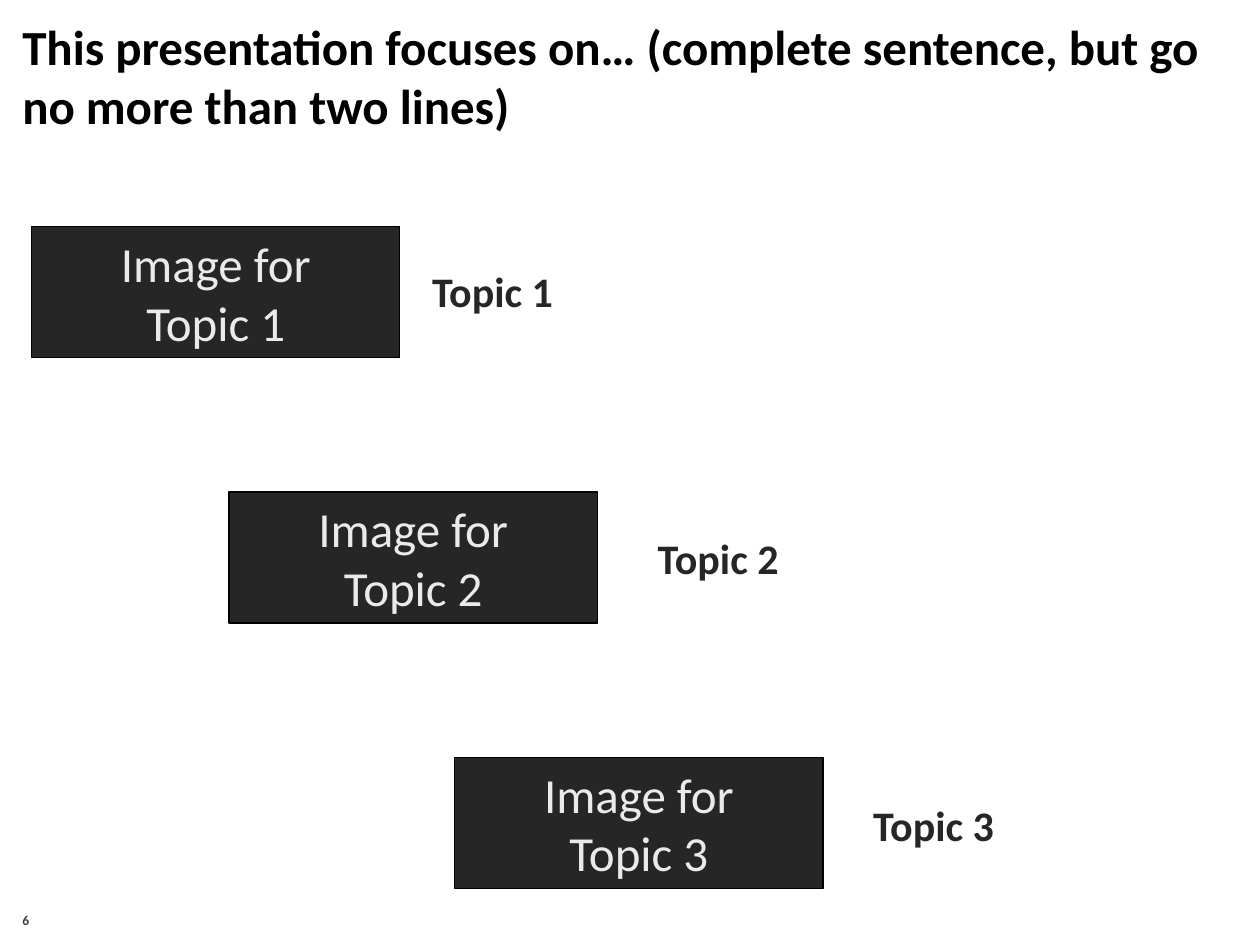
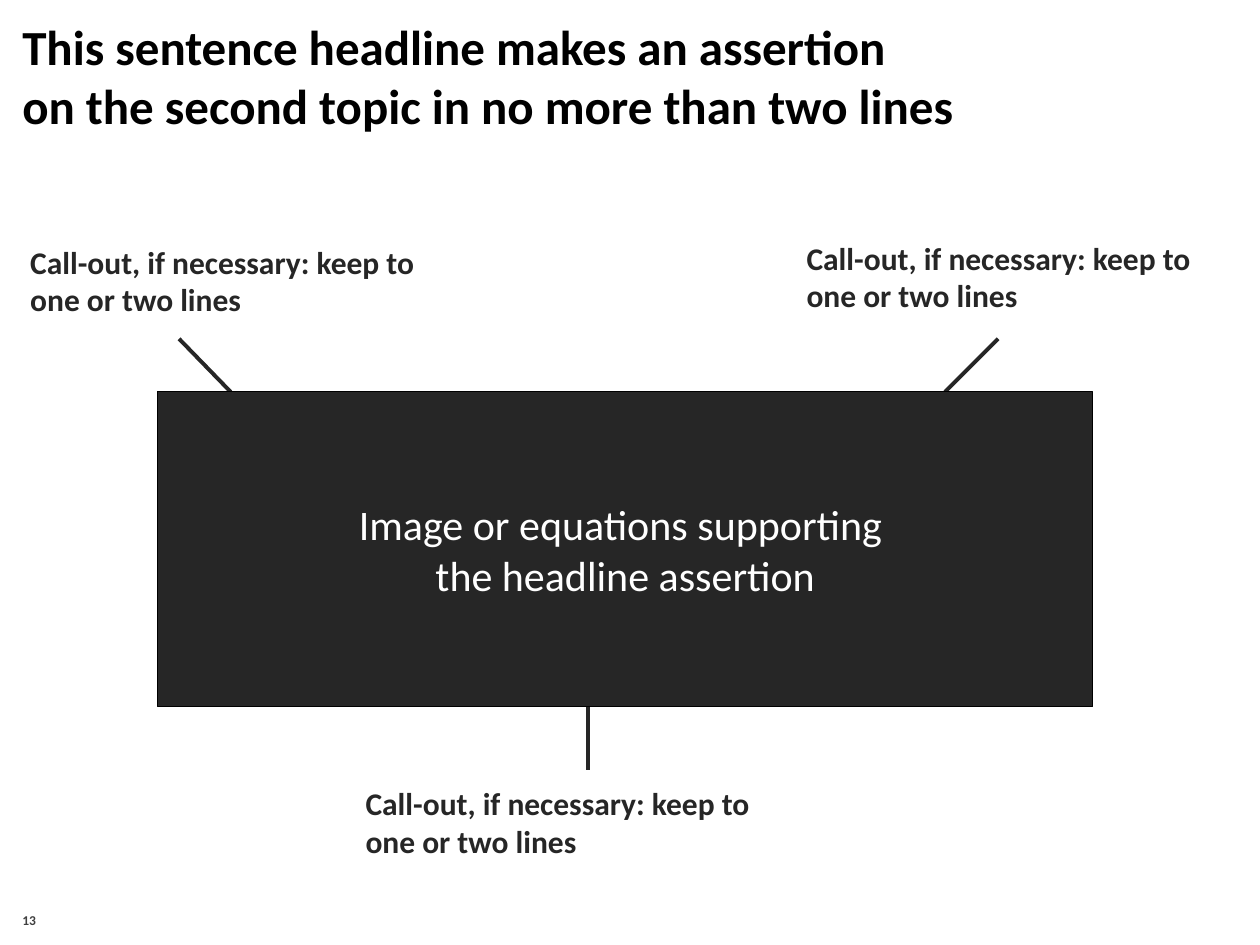
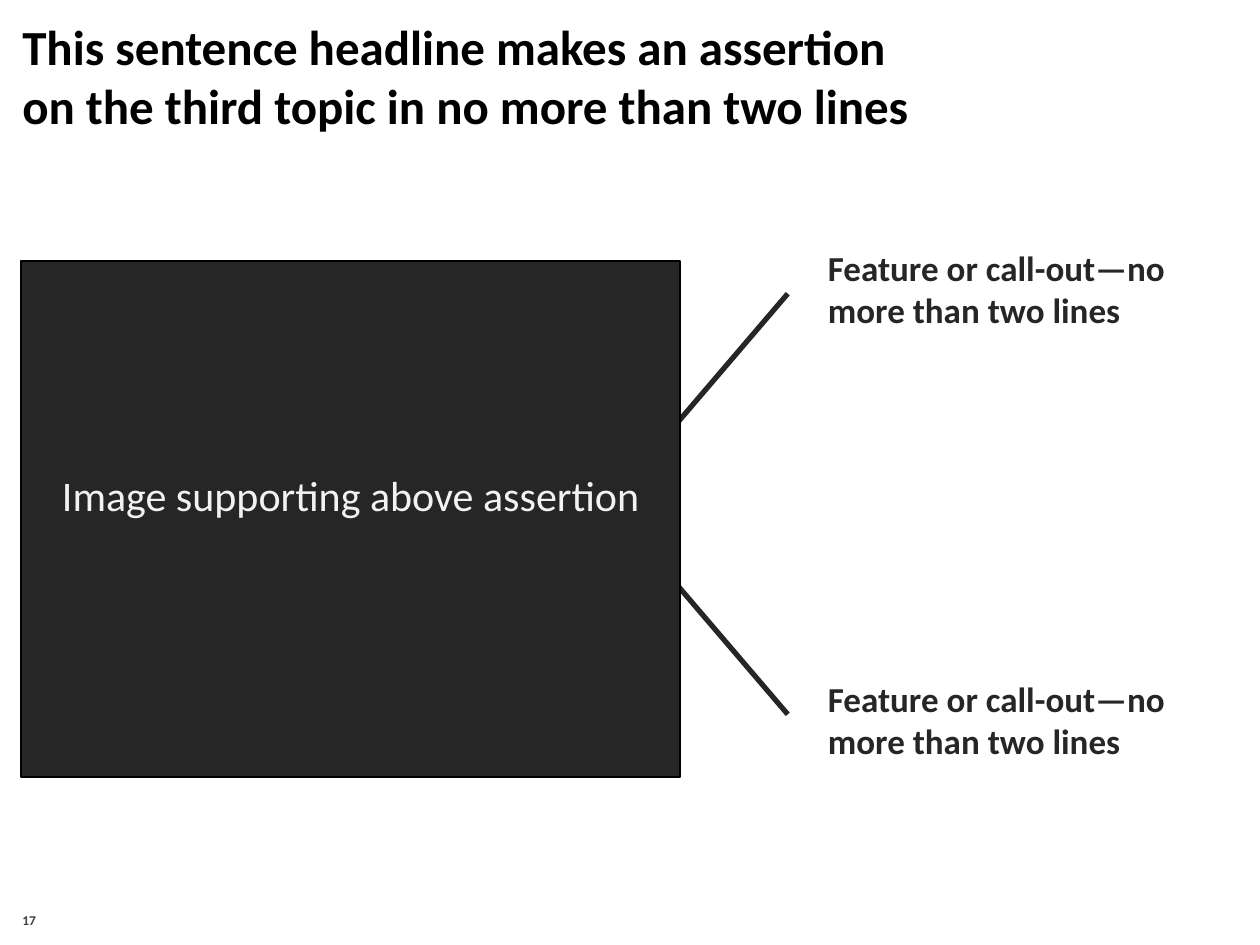
from lxml import etree
from pptx import Presentation
from pptx.dml.color import RGBColor
from pptx.enum.shapes import MSO_CONNECTOR, MSO_SHAPE
from pptx.enum.text import MSO_ANCHOR, PP_ALIGN
from pptx.oxml.ns import qn
from pptx.util import Cm, Pt

RECTANGLE = MSO_SHAPE.RECTANGLE
STRAIGHT = MSO_CONNECTOR.STRAIGHT
TOP, MIDDLE, BOTTOM = MSO_ANCHOR.TOP, MSO_ANCHOR.MIDDLE, MSO_ANCHOR.BOTTOM
LEFT, CENTER = PP_ALIGN.LEFT, PP_ALIGN.CENTER

FONT = "Calibri"
BLACK = "000000"
DARK = "262626"
GREY = "404040"
BLANK_LAYOUT = 6
WIDE_INSETS = (0.25, 0.13)
NARROW_INSETS = (0.18, 0.09)


def color(hex_value):
    return RGBColor.from_string(hex_value)


def write(shape, text, size, text_color, bold=False, align=LEFT,
          anchor=TOP, insets=WIDE_INSETS):
    tf = shape.text_frame
    tf.word_wrap = True
    tf.vertical_anchor = anchor
    tf.margin_left = tf.margin_right = Cm(insets[0])
    tf.margin_top = tf.margin_bottom = Cm(insets[1])
    tf.text = text
    for p in tf.paragraphs:
        p.alignment = align
        p.font.name = FONT
        p.font.size = Pt(size)
        p.font.bold = bold
        p.font.color.rgb = color(text_color)


def add_text(s, box, text, size, text_color, **style):
    shape = s.shapes.add_textbox(*map(Cm, box))
    write(shape, text, size, text_color, bold=True, **style)


def add_label(s, box, text, size):
    add_text(s, box, text, size, DARK, insets=NARROW_INSETS)


def add_image_box(s, box, text, size, text_color, line_width=0.75):
    shape = s.shapes.add_shape(RECTANGLE, *map(Cm, box))
    shape.shadow.inherit = False
    shape.fill.solid()
    shape.fill.fore_color.rgb = color(DARK)
    shape.line.color.rgb = color(BLACK)
    shape.line.width = Pt(line_width)
    write(shape, text, size, text_color, align=CENTER, anchor=MIDDLE)
    return shape


def add_leader(s, ends, width):
    line = s.shapes.add_connector(STRAIGHT, *map(Cm, ends))
    line.line.color.rgb = color(DARK)
    line.line.width = Pt(width)
    etree.SubElement(line._element.spPr, qn("a:effectLst"))


def add_slide(prs, title, number):
    s = prs.slides.add_slide(prs.slide_layouts[BLANK_LAYOUT])
    add_text(s, (0.2, 0.2, 25.07, 2.64), title, 28, BLACK)
    add_text(s, (0.2, 17.83, 5.92, 1.02), number, 7.7, GREY, anchor=BOTTOM)
    return s


def build_topics(prs):
    s = add_slide(prs, "This presentation focuses on… (complete sentence, "
                  "but go no more than two lines)", "6")
    columns = [(0.64, 8.53), (4.62, 13.08), (9.17, 17.42)]
    for i, (image_left, label_left) in enumerate(columns):
        topic = f"Topic {i + 1}"
        add_label(s, (label_left, 5.26 + 5.38 * i, 3.3, 1.17), topic, 24)
        add_image_box(s, (image_left, 4.57 + 5.35 * i, 7.42, 2.64),
                      f"Image for\n{topic}", 28, "EAEAEA")


def build_second_topic(prs):
    s = add_slide(prs, "This sentence headline makes an assertion \v"
                  "on the second topic in no more than two lines", "13")
    for ends in [(11.86, 13.82, 11.86, 15.52),
                 (3.61, 6.83, 4.65, 7.9),
                 (20.12, 6.83, 19.05, 7.9)]:
        add_leader(s, ends, 2.25)
    add_image_box(s, (3.18, 7.9, 18.85, 6.35),
                  "Image or equations supporting \vthe headline assertion",
                  24, "FFFFFF")
    for left, top in [(0.43, 4.8), (16.08, 4.72), (7.19, 15.72)]:
        add_label(s, (left, top, 9.09, 1.68),
                  "Call-out, if necessary: keep to one or two lines", 18)


def build_third_topic(prs):
    s = add_slide(prs, "This sentence headline makes an assertion \v"
                  "on the third topic in no more than two lines", "17")
    for start, end in [(8.89, 5.92), (11.43, 14.4)]:
        add_leader(s, (13.34, start, 15.88, end), 3)
    image = add_image_box(s, (0.43, 5.26, 13.28, 10.41),
                          "Image supporting above assertion", 24, "F2F2F2", 1)
    image.text_frame.margin_bottom = Cm(1.1)
    for top in (4.88, 13.56):
        add_label(s, (16.51, top, 8.46, 1.83),
                  "Feature or call-out—no more than two lines", 20)


def main():
    prs = Presentation()
    prs.slide_width = Cm(25.4)
    prs.slide_height = Cm(19.05)
    build_topics(prs)
    build_second_topic(prs)
    build_third_topic(prs)
    prs.save("out.pptx")


if __name__ == "__main__":
    main()
